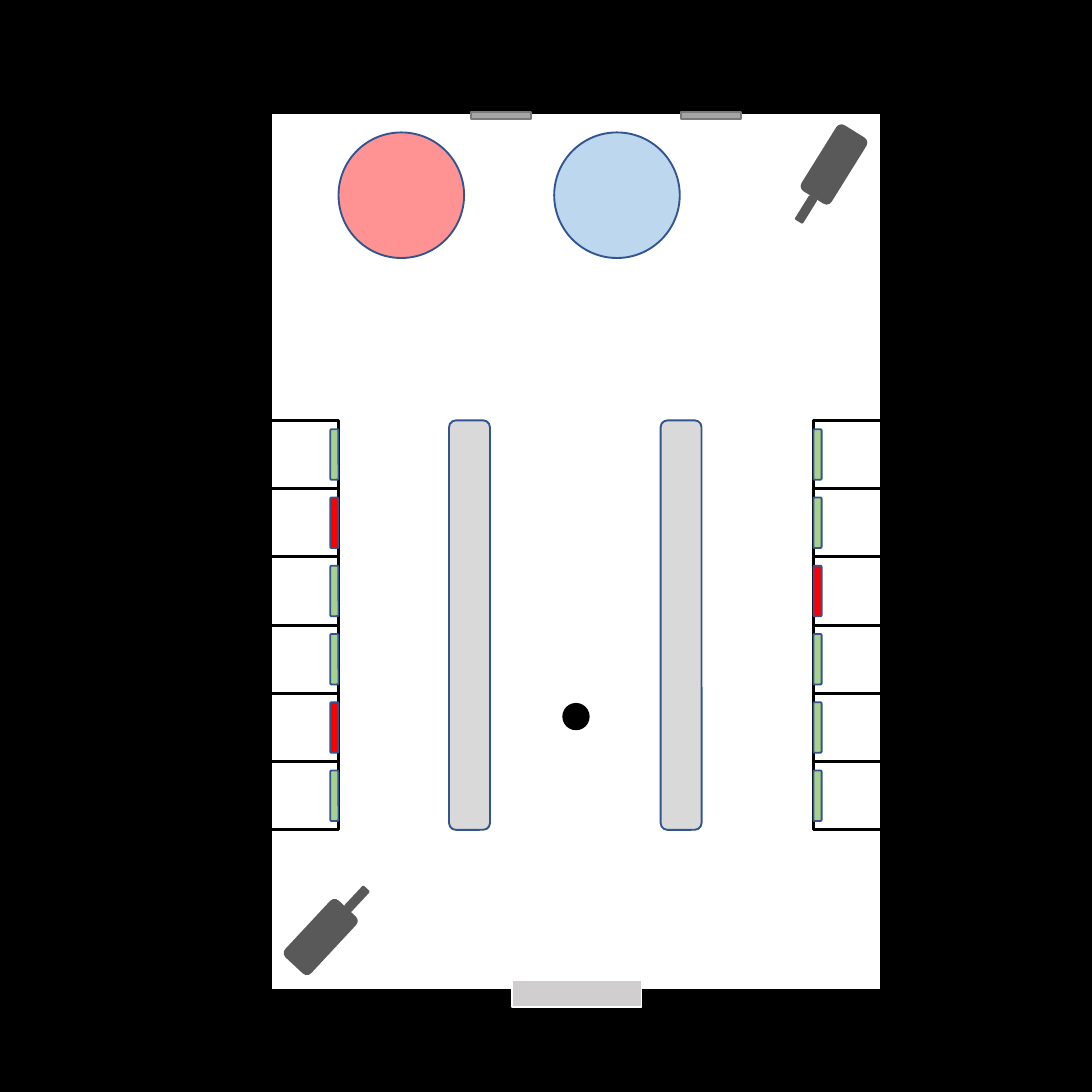
from pptx import Presentation
from pptx.dml.color import RGBColor
from pptx.enum.shapes import MSO_SHAPE
from pptx.util import Inches, Pt

RECT = MSO_SHAPE.RECTANGLE
ROUND = MSO_SHAPE.ROUNDED_RECTANGLE
OVAL = MSO_SHAPE.OVAL

BLACK, WHITE, NAVY = "000000", "FFFFFF", "325491"
GREEN, RED, DARK = "A9D18E", "FF0000", "595959"

# Style: preset shape, fill, line colour, line width
STYLES = {
    "room": (RECT, WHITE, BLACK, 2.25),
    "hot": (OVAL, "FF9393", NAVY, 1),
    "cold": (OVAL, "BDD7EE", NAVY, 1),
    "vent": (RECT, "A5A5A5", "7A7A7A", 1),
    "stall": (RECT, None, BLACK, 1.5),
    "free": (ROUND, GREEN, NAVY, 1),
    "taken": (ROUND, RED, NAVY, 1),
    "bench": (ROUND, "D9D9D9", NAVY, 1),
    "door": (RECT, "D0CECE", WHITE, 1),
    "drain": (OVAL, BLACK, None, 0),
    "camera": (ROUND, DARK, None, 0),
}

# Style, left, top, width, height, turn in degrees
BACK = [
    ("room", 1.98, 0.82, 4.48, 6.44, 0),
    ("hot", 2.48, 0.97, 0.92, 0.92, 0),
    ("cold", 4.06, 0.97, 0.92, 0.92, 0),
    ("vent", 3.45, 0.82, 0.44, 0.05, 0),
    ("vent", 4.99, 0.82, 0.44, 0.05, 0),
]
FRONT = [
    ("camera", 5.98, 0.92, 0.26, 0.57, 31.9),
    ("camera", 2.22, 6.58, 0.26, 0.57, 43),
    ("bench", 3.29, 3.08, 0.3, 3, 0),
    ("bench", 4.84, 3.08, 0.3, 3, 0),
    ("door", 3.75, 7.18, 0.95, 0.2, 0),
    ("drain", 4.12, 5.15, 0.2, 0.2, 0),
    ("camera", 2.58, 6.48, 0.07, 0.21, 43),
    ("camera", 5.87, 1.43, 0.07, 0.21, 31.8),
]

# Stall left, door left, state of each door from top to bottom
SIDES = [
    (1.98, 2.42, ["free", "taken", "free", "free", "taken", "free"]),
    (5.96, 5.96, ["free", "free", "taken", "free", "free", "free"]),
]
TOP, SIZE = 3.08, 0.5
DOOR_W, DOOR_H = 0.06, 0.37


def paint(fill, color):
    if color:
        fill.solid()
        fill.fore_color.rgb = RGBColor.from_string(color)
    else:
        fill.background()


def draw(slide, style, left, top, width, height, turn=0):
    kind, fill, line, weight = STYLES[style]
    box = [Inches(v) for v in (left, top, width, height)]
    shape = slide.shapes.add_shape(kind, *box)
    shape.shadow.inherit = False
    shape.rotation = turn
    paint(shape.fill, fill)
    paint(shape.line.fill, line)
    if line:
        shape.line.width = Pt(weight)


def main():
    prs = Presentation()
    prs.slide_width = prs.slide_height = Inches(8)
    slide = prs.slides.add_slide(prs.slide_layouts[6])
    paint(slide.background.fill, BLACK)

    for part in BACK:
        draw(slide, *part)
    for left, _, states in SIDES:
        for row in range(len(states)):
            draw(slide, "stall", left, TOP + row * SIZE, SIZE, SIZE)
    inset = (SIZE - DOOR_H) / 2
    for _, left, states in SIDES:
        for row, state in enumerate(states):
            draw(slide, state, left, TOP + row * SIZE + inset, DOOR_W, DOOR_H)
    for part in FRONT:
        draw(slide, *part)

    prs.save("out.pptx")


if __name__ == "__main__":
    main()
